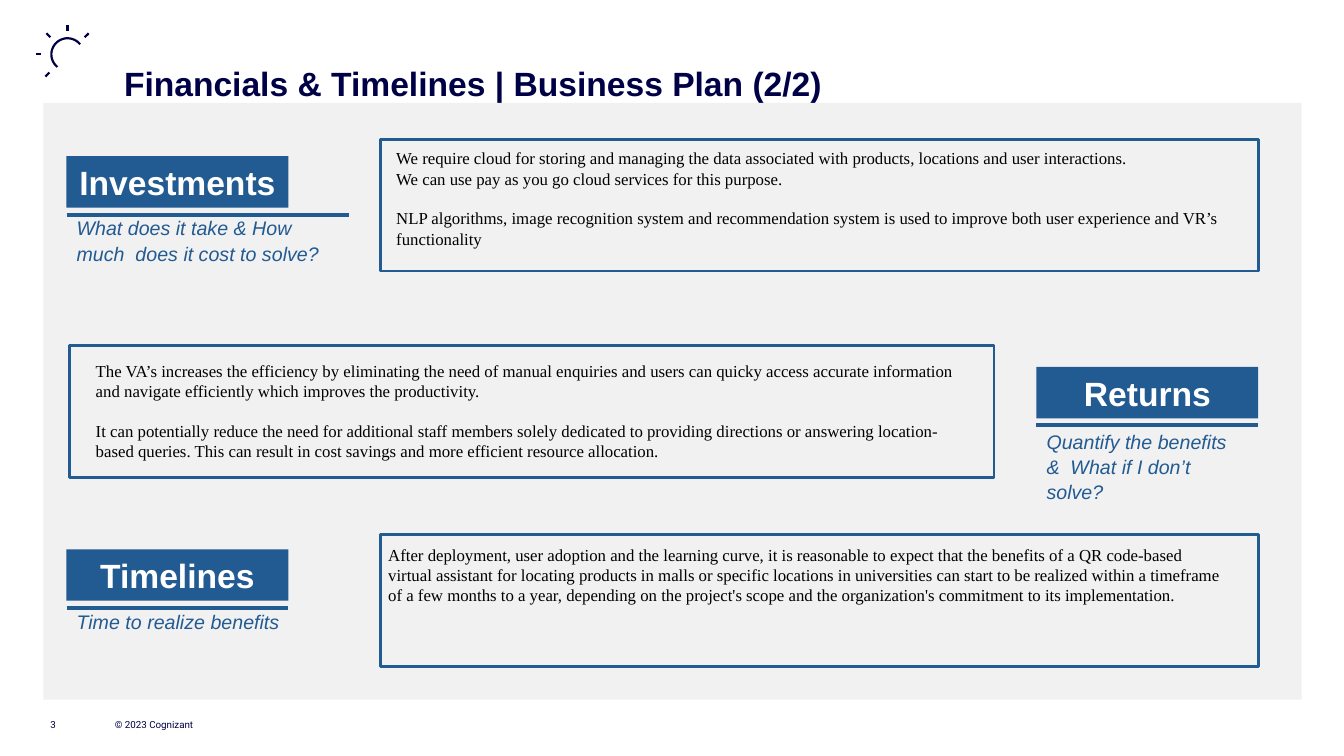
"""Build the business plan slide on investments, returns and timelines."""
from dataclasses import dataclass
from math import cos, radians, sin

from lxml.etree import SubElement
from pptx import Presentation
from pptx.dml.color import RGBColor
from pptx.enum.shapes import MSO_CONNECTOR as Connector, MSO_SHAPE as Preset
from pptx.enum.text import MSO_ANCHOR as Anchor, MSO_AUTO_SIZE as AutoSize, PP_ALIGN as Align
from pptx.oxml.ns import qn
from pptx.shapes.autoshape import Shape
from pptx.slide import Slide
from pptx.util import Inches, Pt

COLORS = {"navy": "000047", "blue": "225A92", "grey": "F1F1F1", "white": "FFFFFF", "black": "000000"}
TAG_WIDTH, TAG_HEIGHT, RULE_DROP = 2.2, 0.51, 0.58
PANEL_HEIGHT = 1.31
SUN_X, SUN_Y, SUN_RADIUS = 0.67, 0.54, 0.16


@dataclass(frozen=True)
class Tag:
    """A heading block with its rule and question."""
    left: float
    top: float
    heading: str
    question: str
    rule_width: float = TAG_WIDTH
    question_width: float = 2.1
    question_drop: float = 0.0


@dataclass(frozen=True)
class Panel:
    """An outlined box of answers."""
    left: float
    top: float
    width: float
    insets: tuple[float, float, float, float]
    paragraphs: tuple[str, ...]
    gap_before: int


@dataclass(frozen=True)
class Ray:
    """One ray of the sun icon."""
    start: tuple[float, float]
    end: tuple[float, float]


TAGS = (
    Tag(0.66, 1.55, "Investments", "What does it take & How much  does it cost to solve?", 2.8, 2.6),
    Tag(10.28, 3.64, "Returns", "Quantify the benefits &  What if I don’t solve?", question_width=1.9, question_drop=0.03),
    Tag(0.66, 5.45, "Timelines", "Time to realize benefits"),
)
PANELS = (
    Panel(3.77, 1.38, 8.71, (0.16, 0.09, 0.1, 0.05), (
        "We require cloud for storing and managing the data associated with products, locations and user interactions.",
        "We can use pay as you go cloud services for this purpose.",
        "NLP algorithms, image recognition system and recommendation system is used to improve both user "
        "experience and VR’s functionality"), 2),
    Panel(0.69, 3.43, 9.17, (0.26, 0.15, 0.21, 0.05), (
        "The VA’s increases the efficiency by eliminating the need of manual enquiries and users can quicky "
        "access accurate information and navigate efficiently which improves the productivity.",
        "It can potentially reduce the need for additional staff members solely dedicated to providing directions "
        "or answering location-based queries. This can result in cost savings and more efficient resource "
        "allocation."), 1),
    Panel(3.77, 5.3, 8.71, (0.08, 0.1, 0.1, 0.05), (
        "After deployment, user adoption and the learning curve, it is reasonable to expect that the benefits of "
        "a QR code-based",
        "virtual assistant for locating products in malls or specific locations in universities can start to be "
        "realized within a timeframe",
        "of a few months to a year, depending on the project's scope and the organization's commitment to its "
        "implementation."), 0),
)
RAYS = (
    Ray((0.67, 0.25), (0.67, 0.31)),
    Ray((0.88, 0.33), (0.84, 0.37)),
    Ray((0.46, 0.33), (0.5, 0.37)),
    Ray((0.36, 0.54), (0.41, 0.54)),
    Ray((0.45, 0.76), (0.49, 0.72)),
)


def color(name: str) -> RGBColor:
    """Look up a named colour."""
    return RGBColor.from_string(COLORS[name])


def write(box: Shape, *texts: str, size: float, tint: str, font: str = "Arial", bold: bool = False,
          italic: bool = False, align: Align = Align.LEFT, anchor: Anchor = Anchor.TOP,
          insets: tuple[float, float, float, float] = (0, 0, 0, 0),
          spacing: float = 1.0, gap_before: int = 0) -> None:
    """Fill a box with formatted paragraphs, opening a gap before the indexed one."""
    frame = box.text_frame
    frame.word_wrap = True
    frame.auto_size = AutoSize.NONE
    frame.vertical_anchor = anchor
    frame.margin_left, frame.margin_top, frame.margin_right, frame.margin_bottom = map(Inches, insets)
    for index, text in enumerate(texts):
        para = frame.add_paragraph() if index else frame.paragraphs[0]
        para.alignment = align
        para.line_spacing = spacing
        para.space_before = Pt(14 if index and index == gap_before else 0)
        span = para.add_run()
        span.text = text
        span.font.name, span.font.size = font, Pt(size)
        span.font.bold, span.font.italic = bold, italic
        span.font.color.rgb = color(tint)


def add_box(page: Slide, left: float, top: float, width: float, height: float,
            fill: str = "", line: str = "") -> Shape:
    """Add a rectangle with an optional fill and outline."""
    box = page.shapes.add_shape(Preset.RECTANGLE, *map(Inches, (left, top, width, height)))
    box.shadow.inherit = False
    if fill:
        box.fill.solid()
        box.fill.fore_color.rgb = color(fill)
    else:
        box.fill.background()
    if line:
        box.line.color.rgb, box.line.width = color(line), Pt(2)
    else:
        box.line.fill.background()
    return box


def add_label(page: Slide, left: float, top: float, width: float, height: float) -> Shape:
    """Add an empty text box."""
    return page.shapes.add_textbox(*map(Inches, (left, top, width, height)))


def add_line(page: Slide, start: tuple[float, float], end: tuple[float, float], tint: str, width: float) -> None:
    """Draw a straight line without a shadow."""
    line = page.shapes.add_connector(Connector.STRAIGHT, *map(Inches, start + end))
    line.line.color.rgb, line.line.width = color(tint), Pt(width)
    SubElement(line._element.spPr, qn("a:effectLst"))


def add_tag(page: Slide, tag: Tag) -> None:
    """Draw a heading block, its rule and its question."""
    block = add_box(page, tag.left, tag.top, TAG_WIDTH, TAG_HEIGHT, fill="blue")
    write(block, tag.heading, size=24, tint="white", bold=True, align=Align.CENTER, anchor=Anchor.MIDDLE)
    rule_top = tag.top + RULE_DROP
    question = add_label(page, tag.left + 0.1, rule_top + tag.question_drop, tag.question_width, 0.5)
    write(question, tag.question, size=14, tint="blue", italic=True, spacing=1.07)
    add_line(page, (tag.left, rule_top), (tag.left + tag.rule_width, rule_top), "blue", 3)


def add_panel(page: Slide, panel: Panel) -> None:
    """Draw an outlined box with its answers."""
    box = add_box(page, panel.left, panel.top, panel.width, PANEL_HEIGHT, line="blue")
    write(box, *panel.paragraphs, size=12, tint="black", font="Times New Roman",
          insets=panel.insets, gap_before=panel.gap_before)


def add_sun(page: Slide) -> None:
    """Draw the sun icon as an open arc with rays."""
    points = [(Inches(SUN_X + SUN_RADIUS * cos(radians(angle))), Inches(SUN_Y + SUN_RADIUS * sin(radians(angle))))
              for angle in range(129, 322, 8)]
    builder = page.shapes.build_freeform(*points[0])
    builder.add_line_segments(points[1:], close=False)
    arc = builder.convert_to_shape()
    arc.shadow.inherit = False
    arc.fill.background()
    arc.line.color.rgb, arc.line.width = color("navy"), Pt(1.56)
    for ray in RAYS:
        add_line(page, ray.start, ray.end, "navy", 1.56)


def main() -> None:
    """Build and save the deck."""
    deck = Presentation()
    deck.slide_width, deck.slide_height = Inches(13.33), Inches(7.5)
    page = deck.slides.add_slide(deck.slide_layouts[5])
    title = page.shapes.title
    title.left, title.top, title.width, title.height = map(Inches, (1.23, 0.6, 7.2, 0.43))
    write(title, "Financials & Timelines | Business Plan (2/2)", size=24, tint="navy", bold=True,
          insets=(0, 0.02, 0, 0))
    add_box(page, 0.43, 1.02, 12.48, 5.92, fill="grey")
    for tag in TAGS:
        add_tag(page, tag)
    for panel in PANELS:
        add_panel(page, panel)
    add_sun(page)
    for left, width, text in ((0.5, 0.15, "3"), (1.14, 1, "© 2023 Cognizant")):
        write(add_label(page, left, 7.13, width, 0.14), text, size=7, tint="navy", font="Roboto")
    deck.save("out.pptx")


if __name__ == "__main__":
    main()
